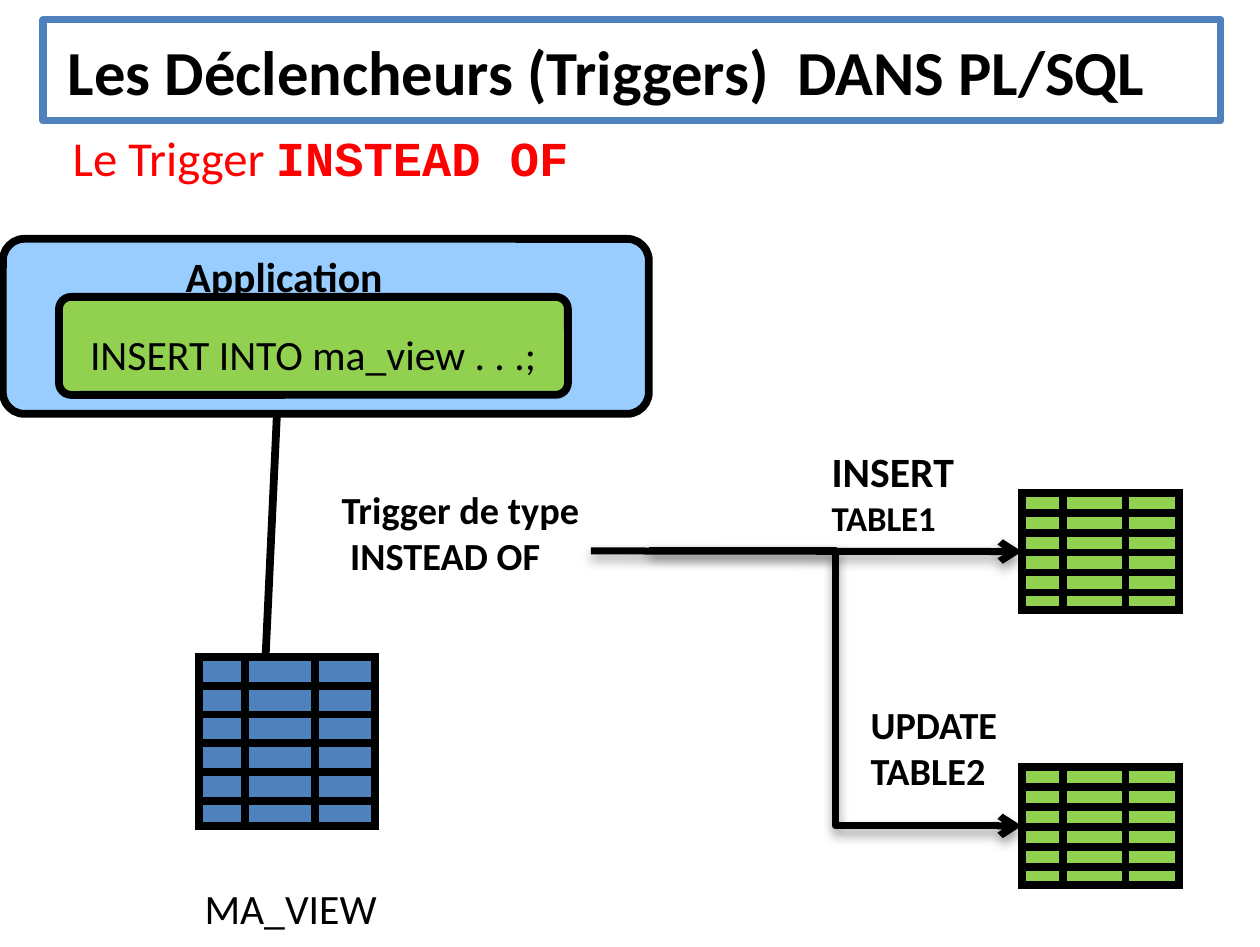
import pptx
import pptx.util
import pptx.dml.color
import pptx.enum.shapes
import pptx.enum.text
import pptx.oxml
from lxml import etree

RGB = pptx.dml.color.RGBColor
SHAPE = pptx.enum.shapes.MSO_SHAPE
CONNECTOR = pptx.enum.shapes.MSO_CONNECTOR
ALIGN = pptx.enum.text.PP_ALIGN
ANCHOR = pptx.enum.text.MSO_ANCHOR

BLACK = RGB(0x00, 0x00, 0x00)
WHITE = RGB(0xFF, 0xFF, 0xFF)
RED = RGB(0xFF, 0x00, 0x00)
SKY = RGB(0x99, 0xCC, 0xFF)
GREEN = RGB(0x92, 0xD0, 0x50)
BLUE = RGB(0x4F, 0x81, 0xBD)

# Content: lengths in px; each paragraph is a list of (text, format) runs
PX_PER_INCH = 250.5
SLIDE_SIZE = (1260, 947)
BOLD = {"bold": True}
TITLE = [[("Les Déclencheurs (Triggers)\tDANS PL/SQL", {"size": 18, **BOLD})]]
TITLE_TAB = 730
SUBTITLE = [[("Le Trigger ", {"size": 14, "color": RED}),
             ("INSTEAD OF", {"size": 14, "color": RED, "font": "Courier New", **BOLD})]]
APPLICATION = [[("Application", {"size": 12, **BOLD})]]
STATEMENT = [[("INSERT INTO ma_view . . .;", {"size": 12})]]
LABELS = [
    ((180, 870, 401, 75), [[("MA_VIEW", {"size": 12})]]),
    ((317, 474, 371, 118), [[("Trigger de type", {"size": 11, **BOLD})],
                            [(" INSTEAD OF", {"size": 11, **BOLD})]]),
    ((807, 434, 176, 118), [[("INSERT ", {"size": 12, **BOLD}),
                             ("TABLE1", {"size": 10, **BOLD})]]),
    ((846, 689, 200, 118), [[("UPDATE TABLE2", {"size": 11, **BOLD})]]),
]
GRIDS = {
    "TABLE1": ((1022, 493, 157, 117), GREEN),
    "TABLE2": ((1022, 767, 157, 118), GREEN),
    "MA_VIEW": ((199, 657, 176, 169), BLUE),
}
COLUMN_SHARES = (0.26, 0.66)
ROW_SHARE = 0.17
ROW_LINES = 5
SHADOW = """<a:outerShdw xmlns:a="http://schemas.openxmlformats.org/drawingml/2006/main"
 blurRad="40000" dist="20000" dir="5400000" rotWithShape="0">
 <a:srgbClr val="000000"><a:alpha val="38000"/></a:srgbClr></a:outerShdw>"""


def px(length):
    return pptx.util.Emu(round(length * 914400 / PX_PER_INCH))


def sub(parent, tag, **attributes):
    child = etree.SubElement(parent, pptx.oxml.ns.qn(tag))
    for name, value in attributes.items():
        child.set(name, str(value))
    return child


def write(box, paragraphs, align=ALIGN.LEFT, anchor=ANCHOR.TOP, wrap=True, tab=None,
          top_inset=None):
    frame = box.text_frame
    frame.word_wrap = wrap
    frame.vertical_anchor = anchor
    if top_inset is not None:
        frame.margin_top = px(top_inset)
    for index, runs in enumerate(paragraphs):
        para = frame.add_paragraph() if index else frame.paragraphs[0]
        para.alignment = align
        if tab:
            stops = sub(para._p.get_or_add_pPr(), "a:tabLst")
            sub(stops, "a:tab", pos=px(tab), algn="l")
        for text, style in runs:
            span = para.add_run()
            span.text = text
            span.font.size = pptx.util.Pt(style["size"])
            span.font.name = style.get("font", "Calibri")
            span.font.bold = style.get("bold", False)
            span.font.color.rgb = style.get("color", BLACK)


def add_label(area, paragraphs, **options):
    write(page.shapes.add_textbox(*map(px, area)), paragraphs, **options)


def add_block(shapes, kind, area, fill, line=BLACK, width=2.25):
    block = shapes.add_shape(kind, *map(px, area))
    block.shadow.inherit = False
    block.fill.solid()
    block.fill.fore_color.rgb = fill
    block.line.color.rgb = line
    block.line.width = pptx.util.Pt(width)
    if kind == SHAPE.ROUNDED_RECTANGLE:
        block.adjustments[0] = 0.124
    elif line == BLACK:
        sub(block.line._get_or_add_ln(), "a:miter", lim=800000)
    return block


def add_line(shapes, start, end, kind=CONNECTOR.STRAIGHT, width=2.25, arrow=None,
             arrow_size="med", shadow=False, target=None):
    line = shapes.add_connector(kind, *map(px, start + end))
    line.line.color.rgb = BLACK
    line.line.width = pptx.util.Pt(width)
    if arrow:
        sub(line.line._get_or_add_ln(), "a:tailEnd", type=arrow, w=arrow_size, len=arrow_size)
    effects = sub(line._element.spPr, "a:effectLst")
    if shadow:
        effects.append(etree.fromstring(SHADOW))
    if target is not None:
        line.end_connect(target, 1)


def add_grid(area, fill):
    left, top, width, height = area
    shapes = page.shapes.add_group_shape().shapes
    frame = add_block(shapes, SHAPE.RECTANGLE, area, fill)
    for share in COLUMN_SHARES:
        x = left + share * width
        add_line(shapes, (x, top), (x, top + height))
    for row in range(1, ROW_LINES + 1):
        y = top + row * ROW_SHARE * height
        add_line(shapes, (left, y), (left + width, y))
    return frame


deck = pptx.Presentation()
deck.slide_width, deck.slide_height = map(px, SLIDE_SIZE)
page = deck.slides.add_slide(deck.slide_layouts[6])

# Application and its statement
add_block(page.shapes, SHAPE.ROUNDED_RECTANGLE, (3, 239, 646, 175), SKY)
add_label((161, 239, 250, 75), APPLICATION)
statement = add_block(page.shapes, SHAPE.ROUNDED_RECTANGLE, (59, 297, 509, 98), GREEN)
write(statement, STATEMENT, align=ALIGN.CENTER, wrap=False, top_inset=28)
add_line(page.shapes, (277, 414), (265, 669), arrow="triangle", arrow_size="sm")

# Labels and table symbols
for area, paragraphs in LABELS:
    add_label(area, paragraphs)
frames = {name: add_grid(*grid) for name, grid in GRIDS.items()}

# Arrows from the trigger to both tables
for name, kind, start, end in (
    ("TABLE1", CONNECTOR.STRAIGHT, (591, 551), (1022, 552)),
    ("TABLE2", CONNECTOR.ELBOW, (649, 551), (1022, 826)),
):
    add_line(page.shapes, start, end, kind=kind, width=2, arrow="arrow",
             shadow=True, target=frames[name])

# Headings
add_label((48, 116, 620, 85), SUBTITLE)
title = add_block(page.shapes, SHAPE.RECTANGLE, (43, 20, 1178, 101), WHITE, line=BLUE, width=2)
write(title, TITLE, anchor=ANCHOR.MIDDLE, tab=TITLE_TAB)

deck.save("out.pptx")
